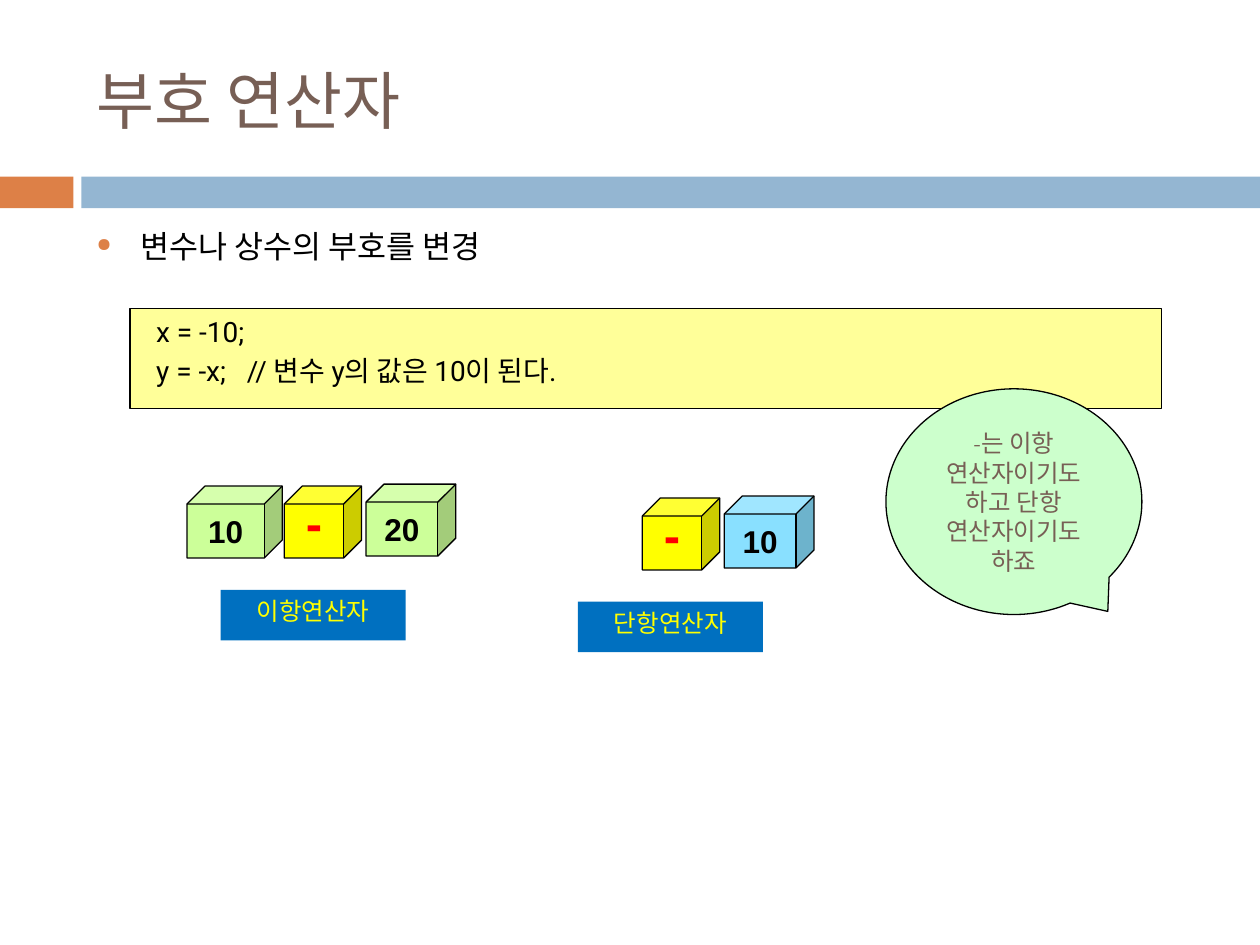
from lxml import etree
from pptx import Presentation
from pptx.dml.color import RGBColor
from pptx.enum.shapes import MSO_SHAPE
from pptx.enum.text import MSO_ANCHOR, PP_ALIGN
from pptx.oxml.ns import qn
from pptx.util import Cm, Pt

RECT, CUBE = MSO_SHAPE.RECTANGLE, MSO_SHAPE.CUBE
CALLOUT = MSO_SHAPE.OVAL_CALLOUT
TOP, MIDDLE, BOTTOM = MSO_ANCHOR.TOP, MSO_ANCHOR.MIDDLE, MSO_ANCHOR.BOTTOM
LEFT, CENTER = PP_ALIGN.LEFT, PP_ALIGN.CENTER
KOREAN = "Noto Sans CJK KR"
COLORS = {
    "orange": "DD8047", "band": "94B6D2", "brown": "775F55", "black": "000000",
    "code": "FFFF99", "mint": "CCFFCC", "lime": "CCFF99", "yellow": "FFFF00",
    "sky": "89E0FF", "red": "FF0000", "blue": "0070C0",
}


def rgb(name):
    """Return the palette colour with this name."""
    return RGBColor.from_string(COLORS[name])


def write(shape, text, size, font, color, bold=False, align=CENTER, anchor=TOP):
    """Set the text of a shape and format all of its runs."""
    frame = shape.text_frame
    frame.text = text
    frame.word_wrap = True
    frame.vertical_anchor = anchor
    for paragraph in frame.paragraphs:
        paragraph.alignment = align
        for run in paragraph.runs:
            run.font.size = Pt(size)
            run.font.name = font
            run.font.bold = bold
            run.font.color.rgb = rgb(color)
            etree.SubElement(run.font._element, qn("a:ea"), typeface=KOREAN)
    return frame


def add_block(slide, kind, box, fill, outlined=False):
    """Add a filled preset shape, with a thin black outline if asked."""
    block = slide.shapes.add_shape(kind, *map(Cm, box))
    block.shadow.inherit = False
    block.fill.solid()
    block.fill.fore_color.rgb = rgb(fill)
    if outlined:
        block.line.color.rgb = rgb("black")
        block.line.width = Pt(0.75)
    else:
        block.line.fill.background()
    return block


def add_header(slide, left, top, width):
    """Add the title and the two-coloured band below it."""
    title = slide.shapes.add_textbox(Cm(left + 1.7), Cm(top + 0.64), Cm(22.66), Cm(2.74))
    write(title, "부호 연산자", 36, "Cabin", "brown", align=LEFT, anchor=MIDDLE)
    accent, gap = 1.48, 0.16
    start = accent + gap
    add_block(slide, RECT, (left, top + 3.56, accent, 0.64), "orange")
    add_block(slide, RECT, (left + start, top + 3.56, width - start, 0.64), "band")


def add_summary(slide, left, top, width, height):
    """Add the bulleted sentence."""
    summary = slide.shapes.add_textbox(Cm(left), Cm(top), Cm(width), Cm(height))
    frame = write(summary, "변수나 상수의 부호를 변경", 18, "Arial", "black", align=LEFT)
    properties = frame.paragraphs[0]._p.get_or_add_pPr()
    properties.set("marL", str(Cm(0.89)))
    properties.set("indent", str(-Cm(0.89)))
    bullet_color = etree.SubElement(properties, qn("a:buClr"))
    etree.SubElement(bullet_color, qn("a:srgbClr"), val=COLORS["orange"])
    etree.SubElement(properties, qn("a:buSzPct"), val="60000")
    etree.SubElement(properties, qn("a:buChar"), char="●")


def add_code(slide, left, top, width, height):
    """Add the code panel, with its comment set on a tab stop."""
    panel = add_block(slide, RECT, (left, top, width, height), "code", outlined=True)
    code = "x = -10;\ny = -x;\t// 변수 y의 값은 10이 된다."
    frame = write(panel, code, 16, "Roboto", "black", align=LEFT)
    frame.margin_left = Cm(0.53)
    commented = frame.paragraphs[1]
    commented.space_before = Pt(3.2)
    tabs = etree.SubElement(commented._p.get_or_add_pPr(), qn("a:tabLst"))
    etree.SubElement(tabs, qn("a:tab"), pos=str(Cm(1.83)), algn="l")


def add_remark(slide, left, top, width, height):
    """Add the speech balloon."""
    balloon = add_block(slide, CALLOUT, (left, top, width, height), "mint", outlined=True)
    balloon.adjustments[0] = 0.367
    balloon.adjustments[1] = 0.486
    remark = "-는 이항 연산자이기도 하고 단항 연산자이기도 하죠"
    write(balloon, remark, 14, "Cambria", "brown")


def add_expression(slide, left, top, cubes, label, label_shift):
    """Add a row of cubes forming an expression, and its label below."""
    for shift, drop, width, text, fill in cubes:
        box = (left + shift, top + drop, width, 1.45)
        cube = add_block(slide, CUBE, box, fill, outlined=True)
        if text == "-":
            write(cube, text, 28, "Arial", "red", bold=True, anchor=BOTTOM)
        else:
            write(cube, text, 18, "Arial", "black", bold=True, anchor=MIDDLE)
    plate = add_block(slide, RECT, (left + label_shift, top + 2.13, 3.73, 1.02), "blue")
    write(plate, label, 14, KOREAN, "yellow")


def main():
    """Build the slide and save it."""
    presentation = Presentation()
    presentation.slide_width, presentation.slide_height = Cm(25.4), Cm(19.05)
    slide = presentation.slides.add_slide(presentation.slide_layouts[6])
    add_header(slide, 0, 0, 25.4)
    add_summary(slide, 1.7, 4.45, 22.66, 12.5)
    add_code(slide, 2.62, 6.22, 20.8, 2.01)
    add_remark(slide, 17.86, 7.84, 5.16, 4.55)
    binary = [
        (0, 0.04, 1.92, "10", "lime"),
        (1.96, 0.04, 1.56, "-", "yellow"),
        (3.61, 0, 1.81, "20", "lime"),
    ]
    unary = [(0, 0.04, 1.56, "-", "yellow"), (1.65, 0, 1.81, "10", "sky")]
    add_expression(slide, 3.77, 9.76, binary, "이항연산자", 0.68)
    add_expression(slide, 12.95, 10, unary, "단항연산자", -1.3)
    presentation.save("out.pptx")


if __name__ == "__main__":
    main()
